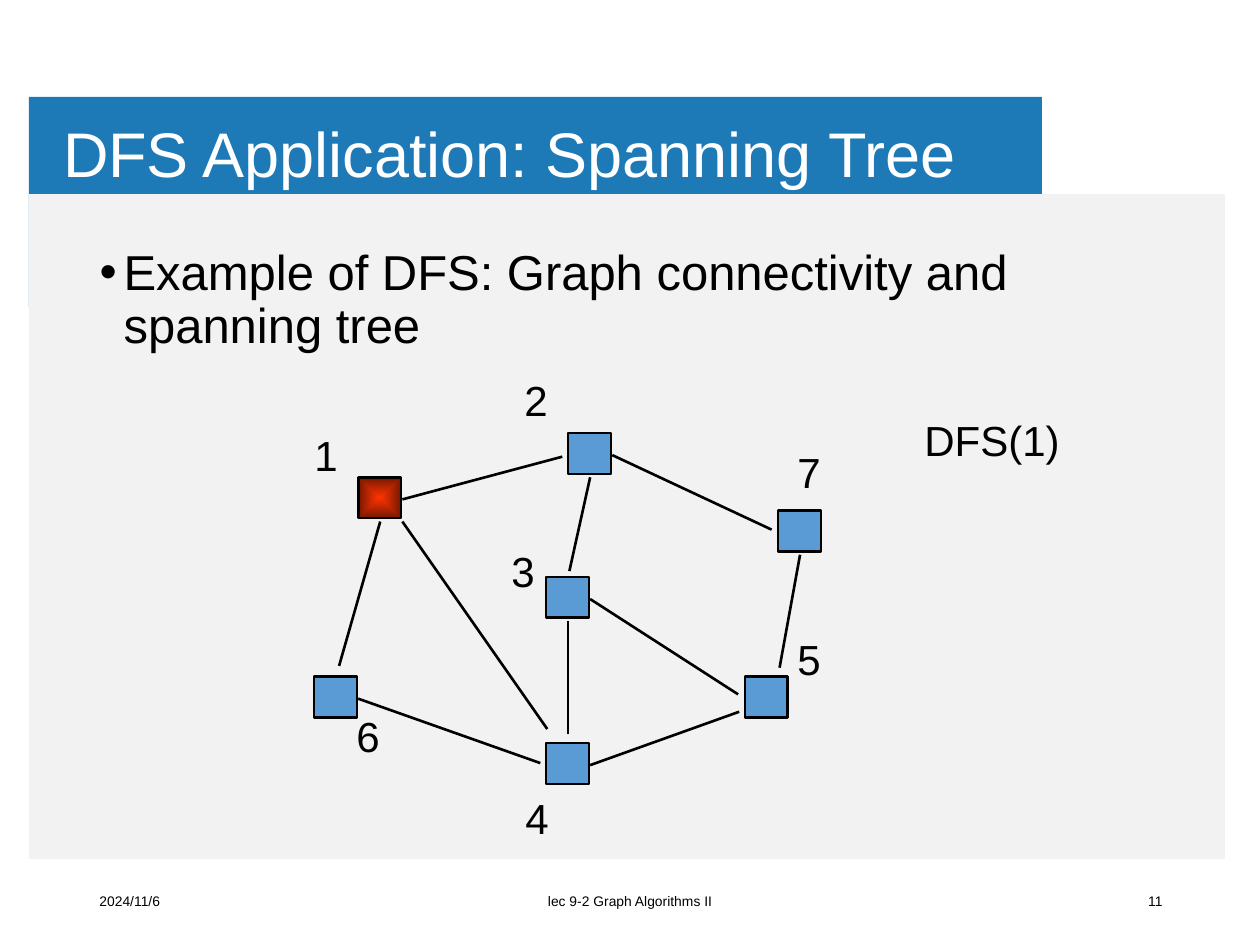
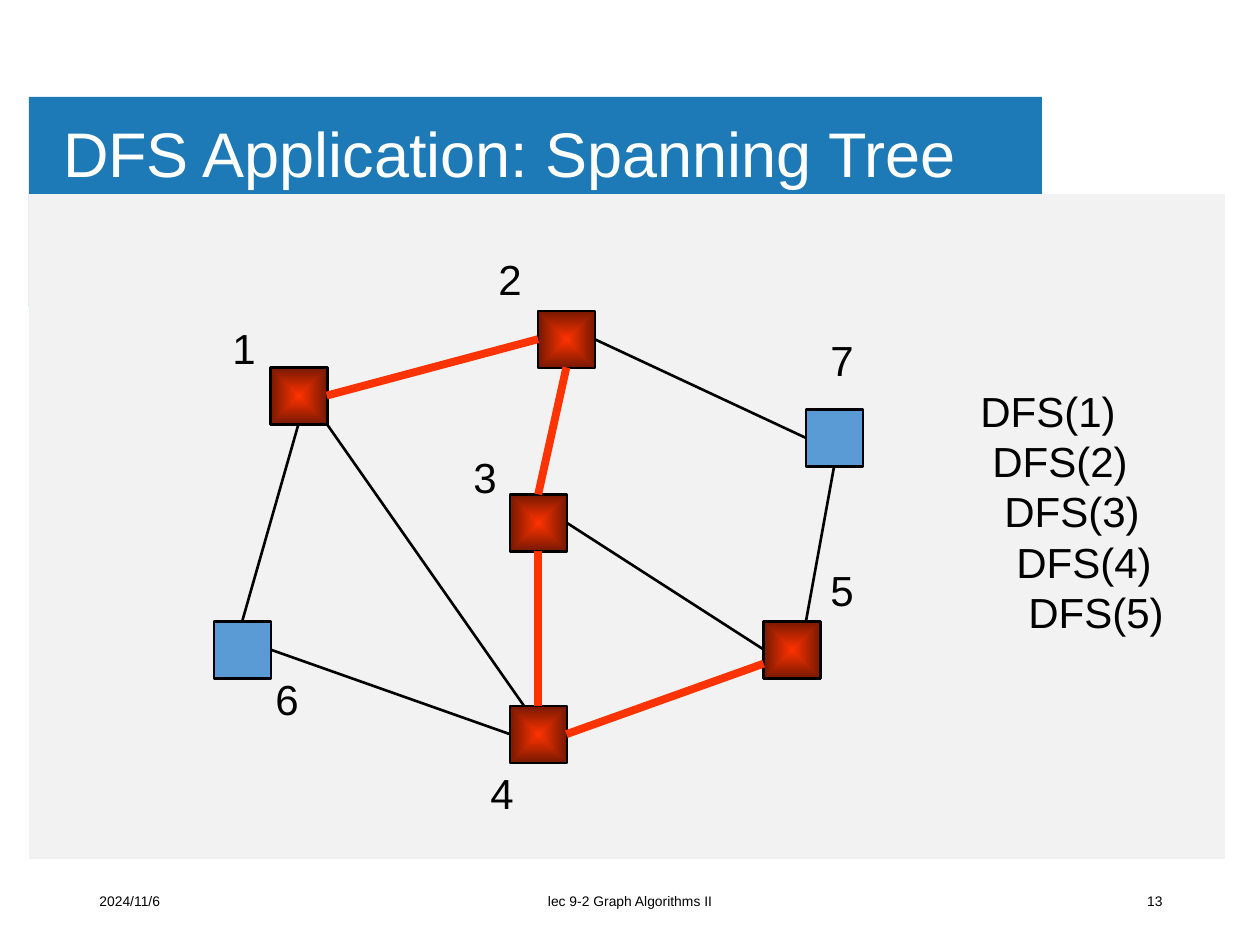
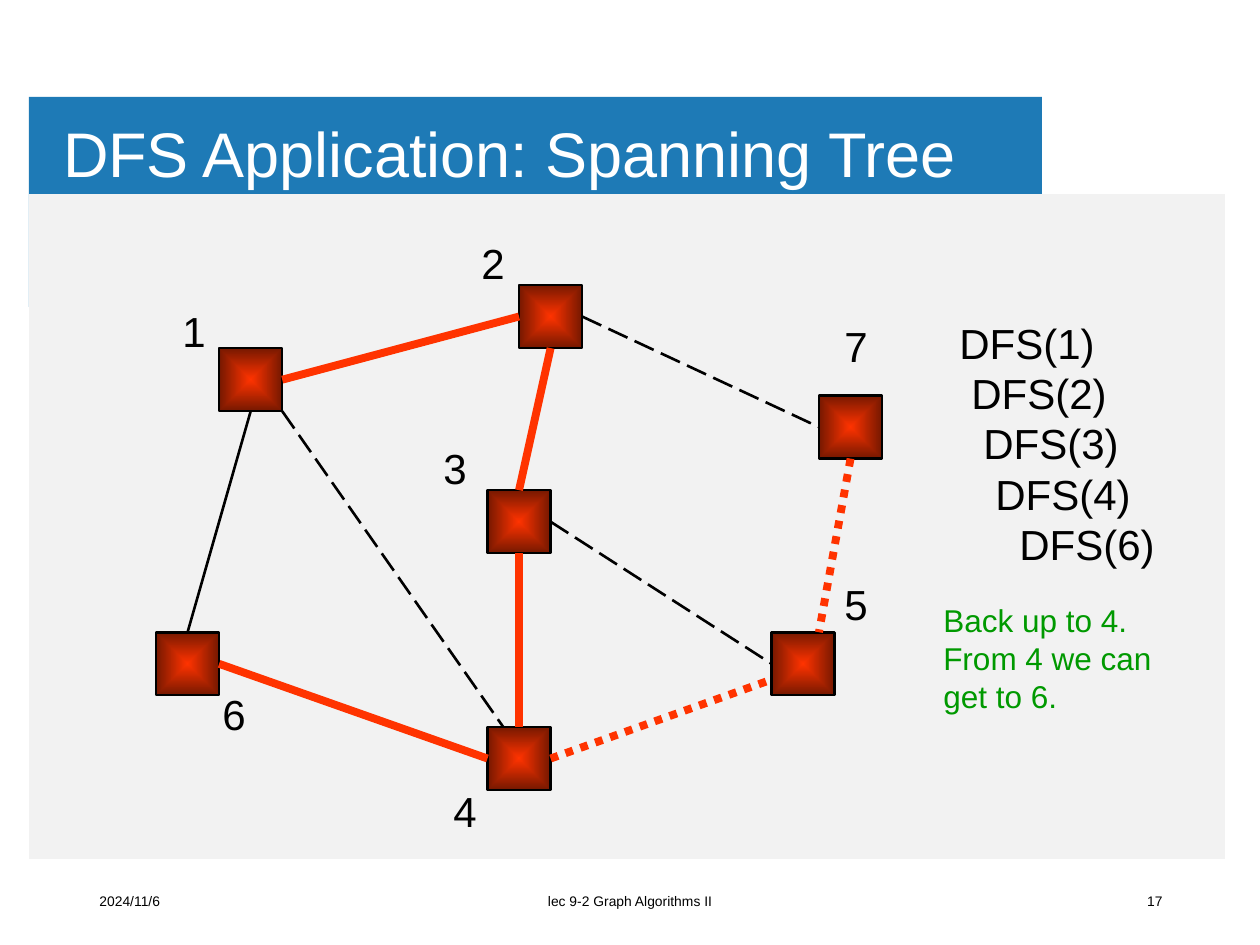
import math
import pptx
import pptx.dml.color
import pptx.enum.dml
import pptx.enum.shapes
import pptx.enum.text
import pptx.oxml
import pptx.oxml.ns
import pptx.util

PX = 914400 // 126
FONT = "Arial"
BLUE, PANEL, WHITE, BLACK = "1E7AB6", "F2F2F2", "FFFFFF", "000000"
UNVISITED, VISITED, VISITED_RIM, GREEN = "5B9BD5", "FF3300", "761800", "009900"

LEFT = pptx.enum.text.PP_ALIGN.LEFT
CENTER = pptx.enum.text.PP_ALIGN.CENTER
RIGHT = pptx.enum.text.PP_ALIGN.RIGHT
MIDDLE = pptx.enum.text.MSO_ANCHOR.MIDDLE
TOP = pptx.enum.text.MSO_ANCHOR.TOP
LONG_DASH = pptx.enum.dml.MSO_LINE.LONG_DASH
DOTS = pptx.enum.dml.MSO_LINE.ROUND_DOT

TITLE = "DFS Application: Spanning Tree"
TITLE_BOX = (54, 96, 1012, 123)
BODY_BOX = (87, 242, 1086, 135)
BANDS = [((29, 97, 1013, 210), BLUE), ((29, 194, 1196, 665), PANEL)]
DATE = "2024/11/6"
FOOTER = "lec 9-2 Graph Algorithms II"
DATE_BOX, FOOTER_BOX, NUMBER_BOX = (87, 876, 284, 50), (417, 876, 426, 50), (891, 876, 284, 50)
CALL_INDENT = 12
LABEL_HEIGHT = 63

GRID_COLUMNS, GRID_ROWS = 42, 28
NODES = {1: (4, 4), 2: (23, 0), 3: (21, 13), 4: (21, 28), 5: (39, 22), 6: (0, 22), 7: (42, 7)}
EDGES = {
    (1, 2): ((8, 6), (23, 2)),
    (2, 3): ((25, 4), (23, 13)),
    (2, 7): ((27, 2), (42, 9)),
    (3, 5): ((25, 15), (39, 24)),
    (7, 5): ((44, 11), (42, 22)),
    (3, 4): ((23, 17), (23, 28)),
    (4, 5): ((25, 30), (39, 25)),
    (6, 4): ((4, 24), (21, 30)),
    (1, 6): ((6, 8), (2, 22)),
    (1, 4): ((8, 8), (22, 28)),
}

SLIDES = [
    {
        "number": "11",
        "bullet": "Example of DFS: Graph connectivity and spanning tree",
        "graph": (314, 433, 464, 310),
        "node_size": (43, 41),
        "visited": {1},
        "tree": set(),
        "dashes": {},
        "end_gaps": {(1, 2): 6, (2, 3): 6, (2, 7): 7, (3, 5): 8, (7, 5): 9,
                     (3, 4): 9, (4, 5): 6, (6, 4): 6, (1, 6): 11, (1, 4): 17},
        "label_width": 50,
        "labels": {1: (302, 423), 2: (512, 368), 3: (499, 539), 4: (513, 786),
                   5: (785, 627), 6: (344, 704), 7: (785, 440)},
        "calls": [("DFS(1)", 0)],
        "calls_box": (912, 408, 165, 63),
    },
    {
        "number": "13",
        "graph": (214, 311, 592, 395),
        "node_size": (57, 57),
        "visited": {1, 2, 3, 4, 5},
        "tree": {(1, 2), (2, 3), (3, 4), (4, 5)},
        "dashes": {},
        "label_width": 77,
        "labels": {1: (220, 316), 2: (486, 247), 3: (461, 445), 4: (478, 761),
                   5: (818, 558), 6: (263, 667), 7: (818, 328)},
        "calls": [("DFS(1)", 0), ("DFS(2)", 1), ("DFS(3)", 2), ("DFS(4)", 3), ("DFS(5)", 4)],
        "calls_box": (968, 379, 244, 267),
    },
    {
        "number": "17",
        "graph": (156, 285, 663, 442),
        "node_size": (63, 63),
        "visited": set(NODES),
        "tree": {(1, 2), (2, 3), (3, 4), (4, 5), (7, 5), (6, 4)},
        "dashes": {(2, 7): LONG_DASH, (3, 5): LONG_DASH, (1, 4): LONG_DASH,
                   (7, 5): DOTS, (4, 5): DOTS},
        "label_width": 86,
        "labels": {1: (170, 299), 2: (469, 231), 3: (431, 436), 4: (441, 779),
                   5: (832, 572), 6: (210, 682), 7: (832, 314)},
        "calls": [("DFS(1)", 0), ("DFS(2)", 1), ("DFS(3)", 2), ("DFS(4)", 3), ("DFS(6)", 5)],
        "calls_box": (947, 311, 260, 267),
        "note": ["Back up to 4.", "From 4 we can", "get to 6."],
        "note_box": (931, 595, 243, 127),
    },
]


def color(hex_string):
    return pptx.dml.color.RGBColor.from_string(hex_string)


def emu(*lengths):
    return [round(length * PX) for length in lengths]


def place(shape, box):
    shape.left, shape.top, shape.width, shape.height = emu(*box)


def style(paragraph, size, text_color=BLACK, alignment=LEFT):
    paragraph.alignment = alignment
    paragraph.font.name = FONT
    paragraph.font.size = pptx.util.Pt(size)
    paragraph.font.color.rgb = color(text_color)


def indent(paragraph, margin, first_line=0):
    properties = paragraph._p.get_or_add_pPr()
    properties.set("marL", str(margin * PX))
    properties.set("indent", str(first_line * PX))


def add_text(slide, box, lines, size, text_color=BLACK, alignment=LEFT, anchor=TOP):
    frame = slide.shapes.add_textbox(*emu(*box)).text_frame
    frame.word_wrap = True
    frame.vertical_anchor = anchor
    for index, (text, level) in enumerate(lines):
        paragraph = frame.paragraphs[0] if index == 0 else frame.add_paragraph()
        paragraph.text = text
        if level:
            indent(paragraph, level * CALL_INDENT)
        style(paragraph, size, text_color, alignment)


def add_rectangle(slide, box, fill):
    shape = slide.shapes.add_shape(pptx.enum.shapes.MSO_SHAPE.RECTANGLE, *emu(*box))
    shape.shadow.inherit = False
    shape.fill.solid()
    shape.fill.fore_color.rgb = color(fill)
    shape.line.fill.background()
    return shape


def fill_from_center(shape, inner, outer):
    shape.fill.gradient()
    for stop, hex_string in zip(shape.fill.gradient_stops, (inner, outer)):
        stop.color.rgb = color(hex_string)
    gradient = shape.element.spPr.find(pptx.oxml.ns.qn("a:gradFill"))
    gradient.remove(gradient.find(pptx.oxml.ns.qn("a:lin")))
    gradient.append(pptx.oxml.parse_xml(
        f'<a:path {pptx.oxml.ns.nsdecls("a")} path="shape">'
        '<a:fillToRect l="50000" t="50000" r="50000" b="50000"/></a:path>'))


def add_edge(slide, start, end, in_tree, dash):
    connector = slide.shapes.add_connector(
        pptx.enum.shapes.MSO_CONNECTOR.STRAIGHT, *emu(*start, *end))
    connector.line.color.rgb = color(VISITED if in_tree else BLACK)
    connector.line.width = pptx.util.Pt(4.5 if in_tree else 1.5)
    if dash:
        connector.line.dash_style = dash
    connector.element.spPr.append(
        pptx.oxml.parse_xml(f'<a:effectLst {pptx.oxml.ns.nsdecls("a")}/>'))


def shorten(start, end, gap):
    keep = 1 - gap / math.dist(start, end)
    return tuple(a + (b - a) * keep for a, b in zip(start, end))


def add_graph(slide, content):
    left, top, width, height = content["graph"]

    def at(point):
        return left + point[0] * width / GRID_COLUMNS, top + point[1] * height / GRID_ROWS

    for node, corner in NODES.items():
        shape = add_rectangle(slide, (*at(corner), *content["node_size"]), UNVISITED)
        shape.line.color.rgb = color(BLACK)
        shape.line.width = pptx.util.Pt(1.5)
        if node in content["visited"]:
            fill_from_center(shape, VISITED, VISITED_RIM)
    gaps = content.get("end_gaps", {})
    for edge, (start, end) in EDGES.items():
        start, end = at(start), at(end)
        end = shorten(start, end, gaps.get(edge, 0))
        add_edge(slide, start, end, edge in content["tree"], content["dashes"].get(edge))
    for node, corner in content["labels"].items():
        add_text(slide, (*corner, content["label_width"], LABEL_HEIGHT), [(str(node), 0)], 24)


def add_frame(slide, number):
    title = slide.shapes.title
    for box, fill in BANDS:
        title.element.addprevious(add_rectangle(slide, box, fill).element)
    place(title, TITLE_BOX)
    frame = title.text_frame
    frame.text = TITLE
    frame.auto_size = pptx.enum.text.MSO_AUTO_SIZE.NONE
    frame.vertical_anchor = MIDDLE
    frame.margin_left = frame.margin_right = 9 * PX
    frame.margin_top = frame.margin_bottom = 5 * PX
    frame.paragraphs[0].line_spacing = 0.9
    style(frame.paragraphs[0], 36, WHITE)
    for box, text, alignment in [(DATE_BOX, DATE, LEFT), (FOOTER_BOX, FOOTER, CENTER),
                                 (NUMBER_BOX, number, RIGHT)]:
        add_text(slide, box, [(text, 0)], 7.9, BLACK, alignment, MIDDLE)


def add_bullet(slide, text):
    body = slide.placeholders[1]
    place(body, BODY_BOX)
    body.text_frame.text = text
    body.text_frame.auto_size = pptx.enum.text.MSO_AUTO_SIZE.NONE
    paragraph = body.text_frame.paragraphs[0]
    indent(paragraph, 24, -24)
    paragraph.space_before = pptx.util.Pt(0)
    paragraph.line_spacing = 0.9
    style(paragraph, 28)


def main():
    presentation = pptx.Presentation()
    presentation.slide_width, presentation.slide_height = emu(1260, 945)
    for content in SLIDES:
        layout = presentation.slide_layouts[1 if "bullet" in content else 5]
        slide = presentation.slides.add_slide(layout)
        add_frame(slide, content["number"])
        if "bullet" in content:
            add_bullet(slide, content["bullet"])
        add_graph(slide, content)
        add_text(slide, content["calls_box"], content["calls"], 24)
        if "note" in content:
            add_text(slide, content["note_box"], [(line, 0) for line in content["note"]], 18, GREEN)
    presentation.save("out.pptx")


if __name__ == "__main__":
    main()
